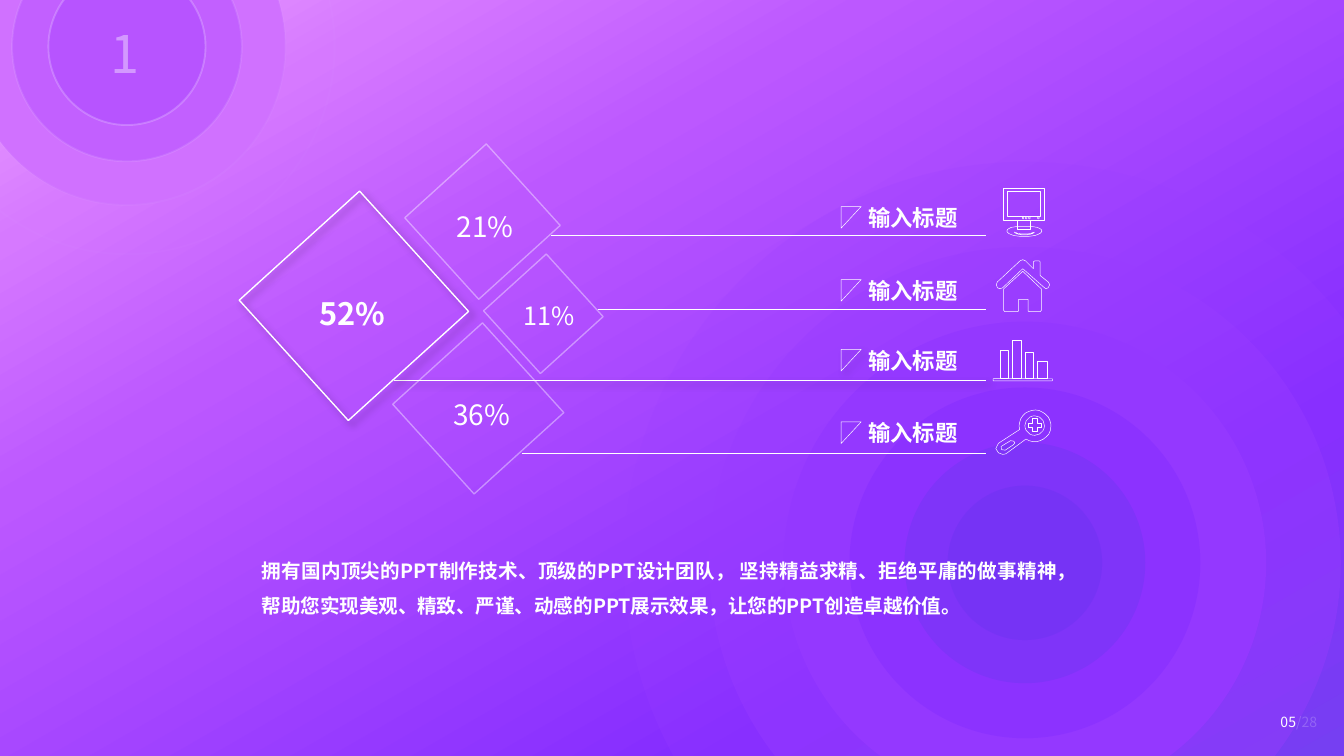
from math import cos, radians, sin

from lxml import etree
from pptx import Presentation
from pptx.dml.color import RGBColor
from pptx.enum import shapes, text
from pptx.oxml.ns import qn
from pptx.util import Cm, Pt

WHITE = RGBColor(0xFF, 0xFF, 0xFF)
FONT = "Noto Sans CJK SC"
GRADIENT = [(0, "ECA3FF"), (16, "D679FF"), (33, "BC58FF"), (77, "832BFF"), (100, "6D3FEF")]
PRESET = shapes.MSO_SHAPE
CENTER = text.PP_ALIGN.CENTER


def fade(element, opacity):
    """Give every colour inside the element an opacity in percent."""
    for colour in list(element.iter(qn("a:srgbClr"))):
        etree.SubElement(colour, qn("a:alpha"), val=str(opacity * 1000))


def outline(item, width, opacity=100, shadow=False):
    """Draw a white line around the item, with a soft shadow on request."""
    item.line.color.rgb = WHITE
    item.line.width = Pt(width)
    properties = item._element.spPr
    if opacity < 100:
        fade(properties.find(qn("a:ln")), opacity)
    effects = etree.SubElement(properties, qn("a:effectLst"))
    if shadow:
        outer = etree.SubElement(effects, qn("a:outerShdw"), blurRad="50800",
                                 dist="38100", dir="2700000", algn="tl", rotWithShape="0")
        etree.SubElement(outer, qn("a:srgbClr"), val="000000")
        fade(outer, 40)


deck = Presentation()
deck.slide_width, deck.slide_height = Cm(25.4), Cm(14.29)
page = deck.slides.add_slide(deck.slide_layouts[6])
canvas = page.shapes

# Background
backdrop = canvas.add_shape(PRESET.RECTANGLE, 0, 0, deck.slide_width, deck.slide_height)
backdrop.shadow.inherit = False
backdrop.line.fill.background()
backdrop.fill.gradient()
backdrop.fill.gradient_angle = 300
stops = backdrop._element.spPr.find(".//" + qn("a:gsLst"))
for stop in list(stops):
    stops.remove(stop)
for position, colour in GRADIENT:
    stop = etree.SubElement(stops, qn("a:gs"), pos=str(position * 1000))
    etree.SubElement(stop, qn("a:srgbClr"), val=colour)

# Concentric rings: centre, then diameter, fill, fill opacity, line opacity
RINGS = {
    (19.37, 10.64): [
        (15.16, "9C3FFF", 20, 0), (11.94, "993CFF", 40, 0), (9.12, "9438FF", 100, 0),
        (6.63, "872EFF", 60, 0), (4.55, "7736F6", 60, 0), (2.92, "6933F1", 40, 0)],
    (2.4, 0.88): [
        (5.99, "D071FF", 100, 4), (4.34, "C260FF", 100, 9),
        (2.97, "B754FF", 100, 22), (7.85, None, 0, 2)],
}
for (x, y), rings in RINGS.items():
    for size, colour, opacity, line_opacity in rings:
        ring = canvas.add_shape(PRESET.OVAL, Cm(x - size / 2), Cm(y - size / 2), Cm(size), Cm(size))
        if colour:
            ring.fill.solid()
            ring.fill.fore_color.rgb = RGBColor.from_string(colour)
            if opacity < 100:
                fade(ring._element.spPr, opacity)
        else:
            ring.fill.background()
        if line_opacity:
            outline(ring, 1, line_opacity)
        else:
            ring.line.fill.background()
            ring.shadow.inherit = False

# Texts: left, top, width, height, wording, size, bold, alignment, wrap
texts = [
    (1.83, 0.28, 0.58, 1.45, "1", 28, False, None, True),
    (5.74, 5.44, 1.85, 0.97, "52%", 16.5, True, CENTER, False),
    (8.33, 3.84, 1.68, 0.89, "21%", 15, False, CENTER, False),
    (9.63, 5.56, 1.5, 0.74, "11%", 13.5, False, CENTER, False),
    (8.23, 7.39, 1.75, 0.89, "36%", 15, False, CENTER, False),
    (4.7, 10.21, 15.54, 1.52,
     "拥有国内顶尖的PPT制作技术、顶级的PPT设计团队， 坚持精益求精、拒绝平庸的做事精神，"
     "帮助您实现美观、精致、严谨、动感的PPT展示效果，让您的PPT创造卓越价值。",
     10.5, True, text.PP_ALIGN.JUSTIFY, True),
    (23.95, 13.36, 1.37, 0.58, "05", 7.5, False, None, True),
]

# Rows: line start, line height, label top, shadow
ROWS = [(10.41, 4.45, 3.73, False), (11.3, 5.84, 5.11, False),
        (7.44, 7.19, 6.43, True), (9.86, 8.56, 7.8, False)]
for start, line_y, label_y, shadow in ROWS:
    rule = canvas.add_connector(shapes.MSO_CONNECTOR.STRAIGHT,
                                Cm(start), Cm(line_y), Cm(18.64), Cm(line_y))
    outline(rule, 0.25, shadow=shadow)
    marker = canvas.add_shape(PRESET.RIGHT_TRIANGLE, Cm(15.88), Cm(label_y + 0.19), Cm(0.41), Cm(0.38))
    marker.rotation = 90
    marker.fill.background()
    outline(marker, 0.25, shadow=shadow)
    texts.append((16, label_y, 2.51, 0.76, "输入标题", 12, True, CENTER, True))

# Diamonds: centre, side, line opacity
DIAMONDS = [(6.69, 5.78, 3.07, 100), (9.12, 4.19, 2.08, 40),
            (10.27, 5.93, 1.6, 40), (9.04, 7.72, 2.29, 40)]
for x, y, side, opacity in DIAMONDS:
    diamond = canvas.add_shape(PRESET.RECTANGLE, Cm(x - side / 2), Cm(y - side / 2), Cm(side), Cm(side))
    diamond.rotation = 317.8
    diamond.fill.background()
    outline(diamond, 0.75, opacity, shadow=opacity == 100)

# Icon parts with a preset outline
ICON_PARTS = [
    (PRESET.RECTANGLE, 18.97, 3.56, 0.77, 0.61),
    (PRESET.RECTANGLE, 19.03, 3.61, 0.64, 0.48),
    (PRESET.ROUNDED_RECTANGLE, 18.77, 7.16, 1.12, 0.04),
    (PRESET.RECTANGLE, 18.9, 6.63, 0.15, 0.53),
    (PRESET.RECTANGLE, 19.13, 6.43, 0.18, 0.73),
    (PRESET.RECTANGLE, 19.38, 6.65, 0.15, 0.51),
    (PRESET.RECTANGLE, 19.61, 6.83, 0.18, 0.33),
    (PRESET.OVAL, 19.37, 7.86, 0.37, 0.37),
    (PRESET.CROSS, 19.43, 7.91, 0.25, 0.25),
]
ICON_PARTS += [(PRESET.OVAL, x, 4.1, 0.03, 0.04) for x in (19.32, 19.38, 19.44, 19.61)]
for preset, *box in ICON_PARTS:
    part = canvas.add_shape(preset, *map(Cm, box))
    if preset == PRESET.CROSS:
        part.adjustments[0] = 0.34
    part.fill.background()
    outline(part, 0.25)

# Icon parts with a free outline, in hundredths of a centimetre
ARCS = {"base": (1936, 437, 33, 10, -67, 247), "rim": (1936, 437, 20, 7, 20, 160),
        "rim back": (1936, 437, 20, 5, 160, 20), "lens": (1956, 805, 30, 30, 166, 484)}
arcs = {
    name: [(x + rx * cos(radians(first + (last - first) * step / 24)),
            y + ry * sin(radians(first + (last - first) * step / 24))) for step in range(25)]
    for name, (x, y, rx, ry, first, last) in ARCS.items()
}
OUTLINES = [
    arcs["base"],
    arcs["rim"] + arcs["rim back"],
    [(1923, 417), (1948, 417), (1948, 434), (1923, 434)],
    [(1897, 546), (1897, 587), (1899, 589), (1923, 589), (1925, 588), (1925, 566), (1943, 566),
     (1943, 588), (1945, 589), (1966, 589), (1968, 587), (1968, 546), (1933, 513)],
    [(1981, 533), (1966, 521), (1966, 495), (1964, 493), (1956, 493), (1953, 495), (1953, 508),
     (1938, 493), (1933, 491), (1928, 493), (1885, 533), (1883, 538), (1885, 544), (1890, 546),
     (1895, 544), (1933, 508), (1974, 544), (1977, 546), (1981, 544), (1984, 538)],
    arcs["lens"] + [(1901, 858), (1895, 859), (1887, 856), (1882, 848), (1887, 838)],
    [(1915, 841), (1900, 851), (1893, 850), (1892, 844), (1910, 833), (1916, 834), (1918, 837)],
]
for points in OUTLINES:
    builder = canvas.build_freeform(*points[0], scale=Cm(0.01))
    builder.add_line_segments(points[1:], close=True)
    part = builder.convert_to_shape()
    part.fill.background()
    outline(part, 0.25)

for left, top, width, height, wording, size, bold, alignment, wrap in texts:
    box = canvas.add_textbox(Cm(left), Cm(top), Cm(width), Cm(height))
    box.text_frame.word_wrap = wrap
    para = box.text_frame.paragraphs[0]
    para.alignment = alignment
    para.add_run().text = wording
    para.font.name, para.font.size, para.font.bold = FONT, Pt(size), bold
    para.font.color.rgb = WHITE
    latin = next(para._p.iter(qn("a:latin")))
    latin.addnext(latin.makeelement(qn("a:ea"), {"typeface": FONT}))
    if alignment == text.PP_ALIGN.JUSTIFY:
        para.line_spacing = 1.5
    if wording == "1":
        fade(para._p, 40)
    if wording == "05":
        span = para.add_run()
        span.text = "/28"
        span.font.color.rgb = WHITE
        fade(span._r, 20)

deck.save("out.pptx")
